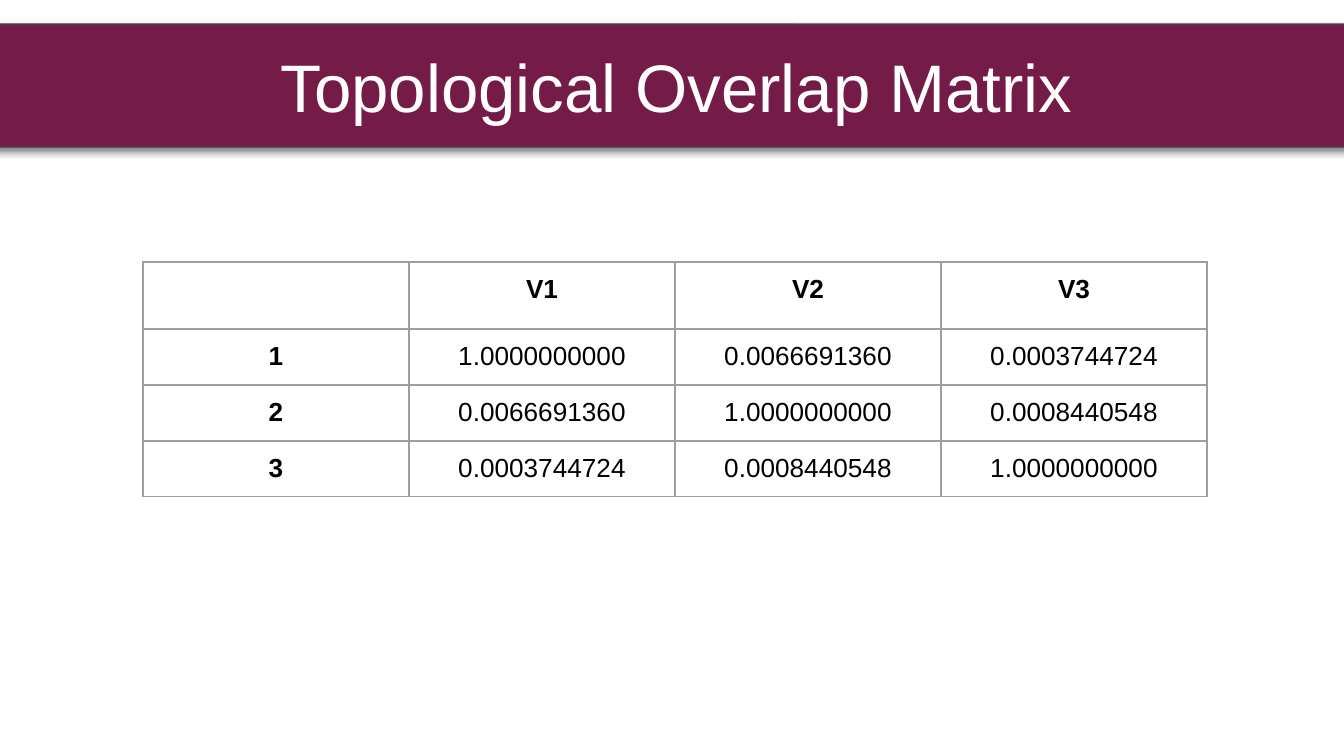
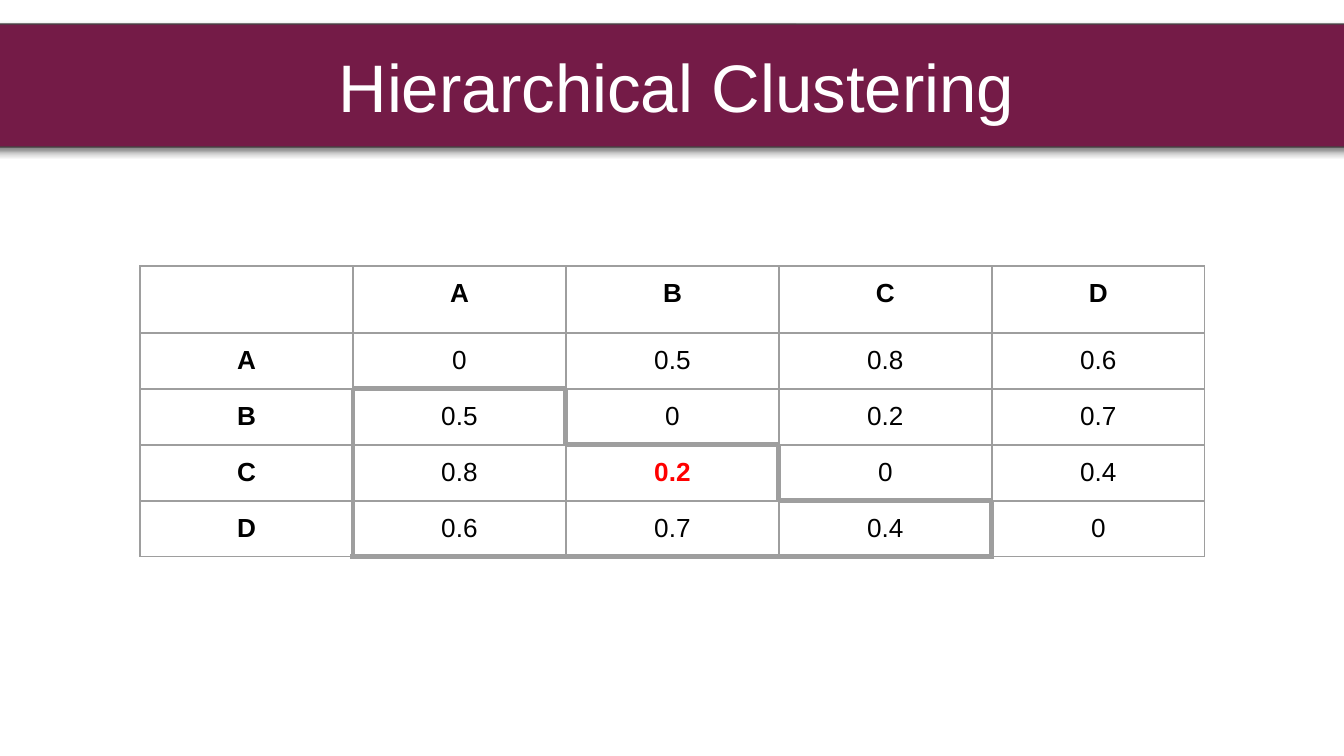
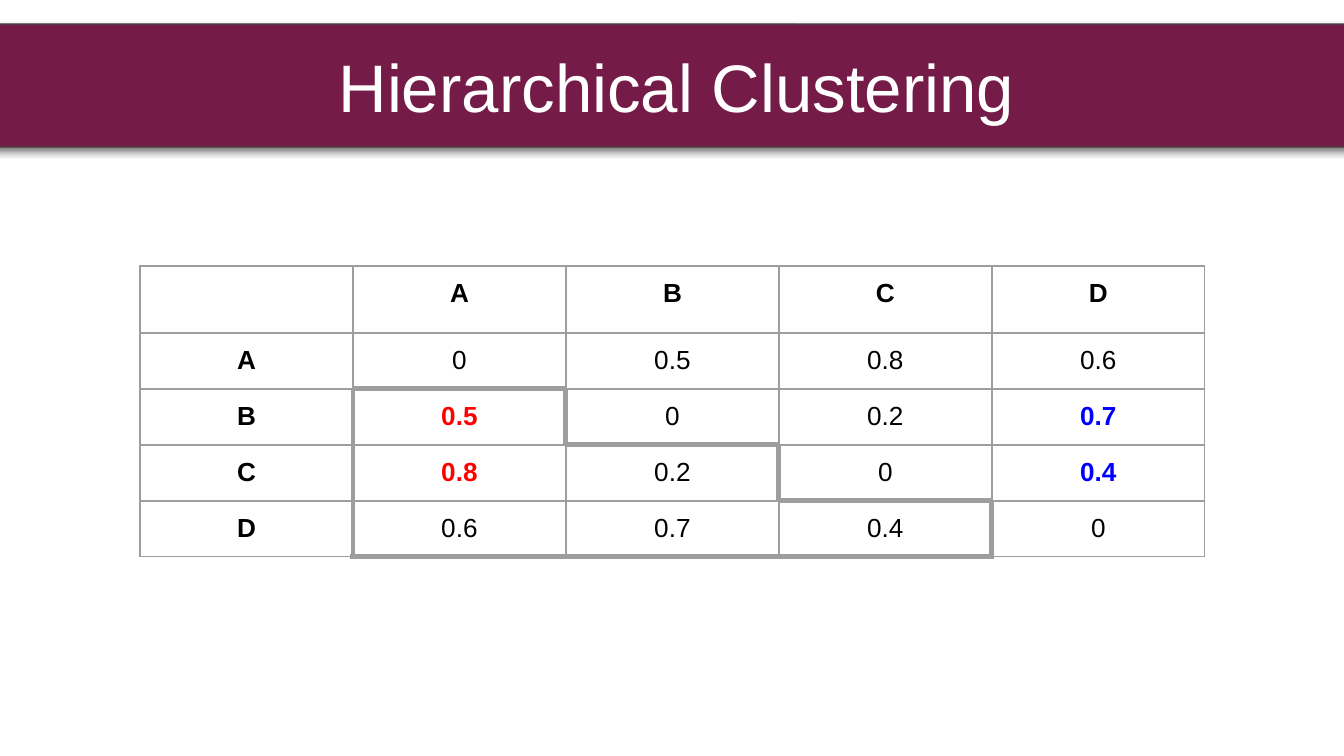
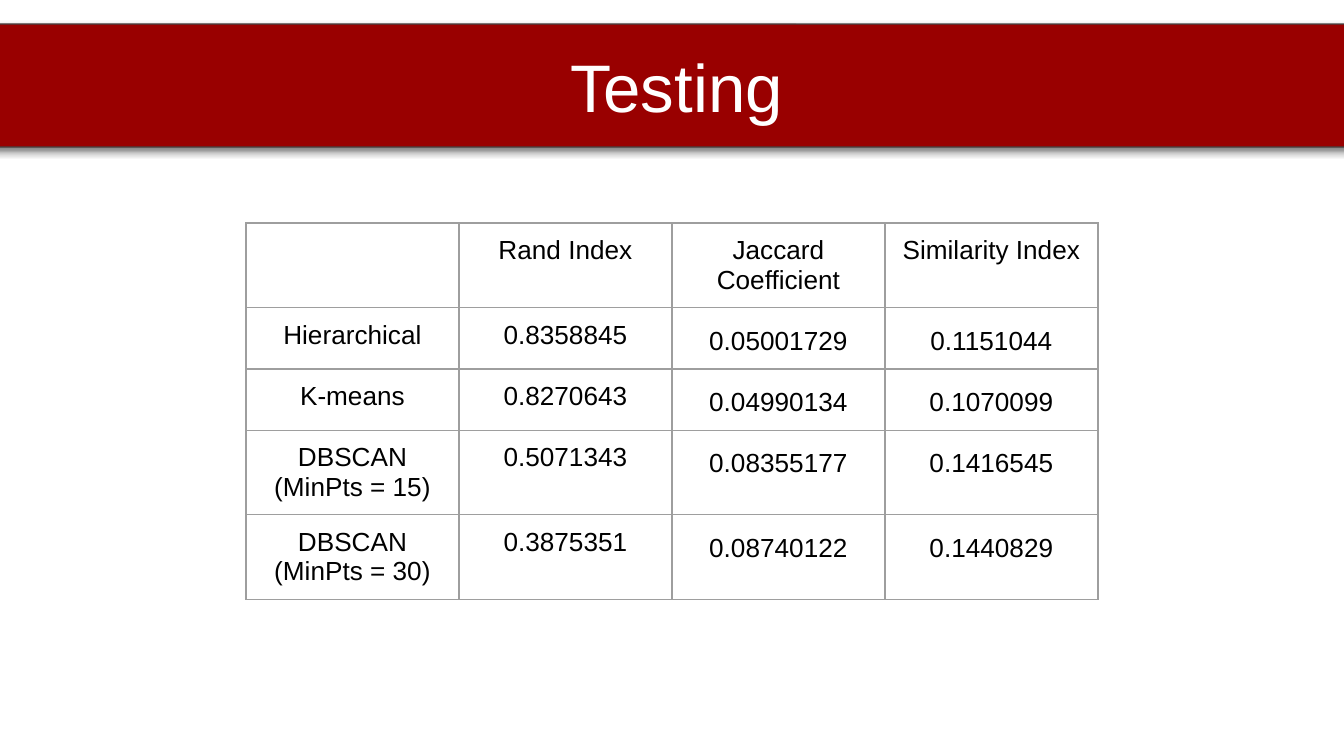
from lxml import etree
from pptx import Presentation
from pptx.dml.color import RGBColor
from pptx.enum.shapes import MSO_SHAPE
from pptx.enum.text import MSO_ANCHOR, PP_ALIGN
from pptx.oxml.ns import qn
from pptx.util import Emu, Pt

ROUND = MSO_SHAPE.ROUNDED_RECTANGLE
CENTER = PP_ALIGN.CENTER
MIDDLE = MSO_ANCHOR.MIDDLE

PLUM = RGBColor(0x74, 0x1B, 0x47)
MAROON = RGBColor(0x99, 0x00, 0x00)
SLATE = RGBColor(0x43, 0x43, 0x43)
GREY = RGBColor(0x9E, 0x9E, 0x9E)
BLACK = RGBColor(0x00, 0x00, 0x00)
WHITE = RGBColor(0xFF, 0xFF, 0xFF)
RED = RGBColor(0xFF, 0x00, 0x00)
BLUE = RGBColor(0x00, 0x00, 0xFF)

FONT = "Arial"
SCALE = 914400 / 134.4
INSET = 13
ROW = 56
THIN = Pt(0.75)
THICK = Pt(3)

OVERLAP = [
    ["", "V1", "V2", "V3"],
    ["1", "1.0000000000", "0.0066691360", "0.0003744724"],
    ["2", "0.0066691360", "1.0000000000", "0.0008440548"],
    ["3", "0.0003744724", "0.0008440548", "1.0000000000"],
]
CLUSTER = [
    ["", "A", "B", "C", "D"],
    ["A", "0", "0.5", "0.8", "0.6"],
    ["B", "0.5", "0", "0.2", "0.7"],
    ["C", "0.8", "0.2", "0", "0.4"],
    ["D", "0.6", "0.7", "0.4", "0"],
]
TESTING = [
    ["", "Rand Index", "Jaccard Coefficient", "Similarity Index"],
    ["Hierarchical", "0.8358845", "0.05001729", "0.1151044"],
    ["K-means", "0.8270643", "0.04990134", "0.1070099"],
    ["DBSCAN (MinPts = 15)", "0.5071343", "0.08355177", "0.1416545"],
    ["DBSCAN (MinPts = 30)", "0.3875351", "0.08740122", "0.1440829"],
]
STEPS = {
    (1, 1): "B",
    (2, 0): "R", (2, 1): "LTR", (2, 2): "LB",
    (3, 0): "R", (3, 1): "L", (3, 2): "TR", (3, 3): "LB",
    (4, 0): "R", (4, 1): "LB", (4, 2): "B", (4, 3): "TRB", (4, 4): "L",
}
CLOSEST = {(3, 2): RED}
MERGED = {(2, 1): RED, (3, 1): RED, (2, 4): BLUE, (3, 4): BLUE}


def px(n):
    return Emu(round(n * SCALE))


def style(para, size, color, bold=False):
    para.alignment = CENTER
    for run in para.runs:
        run.font.name = FONT
        run.font.size = Pt(size)
        run.font.color.rgb = color
        run.font.bold = bold


def pad(item):
    item.margin_left = item.margin_right = px(INSET)
    item.margin_top = item.margin_bottom = px(INSET)


def add_tint(parent, color):
    fill = etree.SubElement(parent, qn("a:solidFill"))
    return etree.SubElement(fill, qn("a:srgbClr"), val=str(color))


def add_shadow(shape):
    shape.shadow.inherit = False
    effects = shape.element.spPr.find(qn("a:effectLst"))
    outer = etree.SubElement(effects, qn("a:outerShdw"), blurRad=str(Pt(4.5)),
                             dist=str(Pt(1.5)), dir="5400000", algn="bl",
                             rotWithShape="0")
    tint = etree.SubElement(outer, qn("a:srgbClr"), val=str(BLACK))
    etree.SubElement(tint, qn("a:alpha"), val="50000")


def add_band(slide, title, color):
    band = slide.shapes.add_shape(ROUND, px(-36), px(24), px(1425), px(123))
    band.fill.solid()
    band.fill.fore_color.rgb = color
    band.line.color.rgb = SLATE
    band.line.width = THIN
    add_shadow(band)
    frame = band.text_frame
    frame.word_wrap = True
    frame.vertical_anchor = MIDDLE
    pad(frame)
    frame.text = title
    style(frame.paragraphs[0], 36, WHITE)


def add_edges(cell, thick):
    props = cell._tc.get_or_add_tcPr()
    for side in "LRTB":
        width = THICK if side in thick else THIN
        line = etree.SubElement(props, qn("a:ln" + side), w=str(width))
        add_tint(line, GREY)


def add_grid(slide, left, top, width, data, heads=True, marks={}, steps={},
             loose=()):
    rows, cols = len(data), len(data[0])
    table = slide.shapes.add_table(rows, cols, px(left), px(top),
                                   px(width * cols), px(ROW * rows)).table
    table.first_row = table.horz_banding = False
    for col in table.columns:
        col.width = px(width)
    for r, texts in enumerate(data):
        table.rows[r].height = px(ROW)
        for c, text in enumerate(texts):
            cell = table.cell(r, c)
            add_edges(cell, steps.get((r, c), ""))
            cell.fill.background()
            pad(cell)
            if not text:
                continue
            cell.text = text
            para = cell.text_frame.paragraphs[0]
            label = heads and (r == 0 or c == 0)
            style(para, 14, marks.get((r, c), BLACK),
                  label or (r, c) in marks)
            if r and c in loose:
                para.line_spacing = 1.2


def main():
    deck = Presentation()
    deck.slide_width, deck.slide_height = px(1344), px(756)

    def add_slide(title, color=PLUM):
        slide = deck.slides.add_slide(deck.slide_layouts[6])
        add_band(slide, title, color)
        return slide

    add_grid(add_slide("Topological Overlap Matrix"), 143, 262, 266, OVERLAP)
    for marks in (CLOSEST, MERGED):
        add_grid(add_slide("Hierarchical Clustering"), 140, 266, 213, CLUSTER,
                 marks=marks, steps=STEPS)
    add_grid(add_slide("Testing", MAROON), 246, 223, 213, TESTING,
             heads=False, loose=(2, 3))
    deck.save("out.pptx")


if __name__ == "__main__":
    main()
